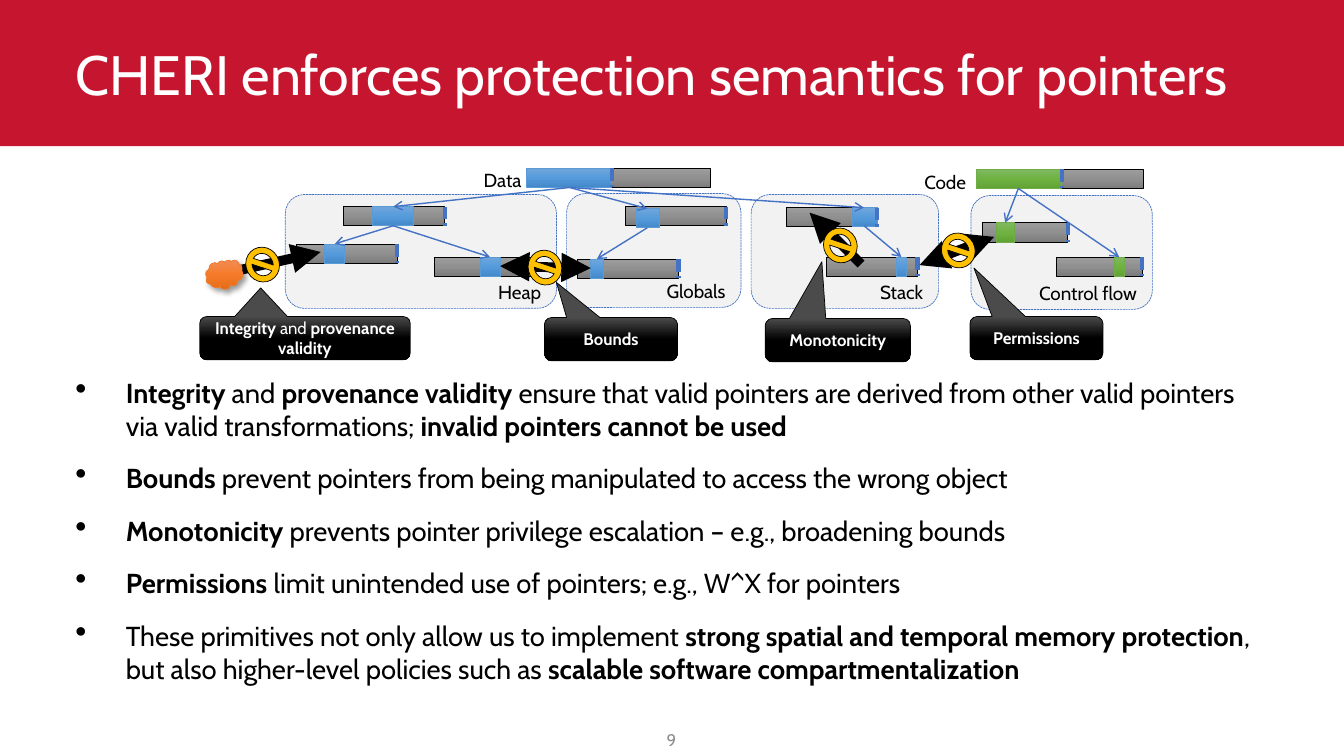
from dataclasses import dataclass
from typing import NamedTuple, Optional

from lxml.etree import SubElement
from pptx import Presentation
from pptx.dml.color import RGBColor
from pptx.enum.dml import MSO_LINE
from pptx.enum.shapes import MSO_CONNECTOR, MSO_SHAPE
from pptx.enum.text import MSO_ANCHOR, PP_ALIGN
from pptx.oxml.ns import qn
from pptx.util import Cm, Pt


@dataclass(frozen=True)
class Theme:
    font: str = "Cabin"
    red: str = "C5152F"
    white: str = "FFFFFF"
    black: str = "000000"
    pale: str = "F2F2F2"
    dim: str = "8C8C8C"
    edge: str = "4472C4"
    amber: str = "FFC000"
    rust: str = "ED7D31"
    gray: tuple = ("9D9D9D", "909090", "7C7C7C")
    blue: tuple = ("71A6DB", "559BDB", "448ACA")
    green: tuple = ("81B861", "6FB242", "62A336")
    flame: tuple = ("F18C57", "F67B28", "E56C19")
    night: tuple = ("4B4B4B", "000000", "000000")
    head: float = 39.6
    body: float = 19.6
    label: float = 13.5
    small: float = 12


T = Theme()
RIM = {T.blue: "5B9BD5", T.green: "70AD47"}


# Places are kept in inches and turned into Cm when drawn
class Panel(NamedTuple):
    name: str
    left: float
    top: float
    width: float


class Bar(NamedTuple):
    left: float
    top: float
    width: float
    slot: float
    span: float
    tint: tuple = T.blue
    mark: Optional[float] = None
    drop: float = 0


class Link(NamedTuple):
    start: tuple
    end: tuple


class Ban(NamedTuple):
    start: tuple
    end: tuple
    spot: tuple
    both: bool = True


class Note(NamedTuple):
    text: str
    left: float
    top: float
    width: float
    tip: tuple


PANELS = [
    Panel("Globals", 5.62, 1.92, 1.73), Panel("Heap", 2.83, 1.93, 2.69),
    Panel("Stack", 7.45, 1.93, 1.86), Panel("Control flow", 9.63, 1.94, 1.8),
]
BARS = [
    # Roots
    Bar(5.39, 1.67, 1.66, 5.22, 0.84, mark=6.07),
    Bar(9.68, 1.68, 1.66, 9.68, 0.85, T.green, mark=10.53),
    # Globals
    Bar(6.2, 2.05, 1, 6.31, 0.23, drop=0.02), Bar(5.73, 2.57, 1, 5.86, 0.13),
    # Heap
    Bar(3.41, 2.05, 1, 3.69, 0.41), Bar(4.31, 2.55, 1, 4.76, 0.2),
    Bar(2.94, 2.42, 1, 3.22, 0.2),
    # Stack
    Bar(7.8, 2.06, 0.9, 8.45, 0.25), Bar(8.2, 2.55, 0.9, 8.89, 0.1),
    # Control flow
    Bar(9.74, 2.21, 0.85, 9.88, 0.18, T.green),
    Bar(10.48, 2.55, 0.85, 11.05, 0.1, T.green),
]
DATA, CODE, HEAP = (5.65, 1.86), (10.1, 1.87), (3.9, 2.24)
LINKS = [
    Link(DATA, (3.9, 2.05)), Link(DATA, (6.42, 2.07)), Link(DATA, (8.57, 2.06)),
    Link((6.42, 2.26), (5.92, 2.57)),
    Link(HEAP, (3.32, 2.42)), Link(HEAP, (4.86, 2.55)),
    Link((8.57, 2.24), (8.94, 2.55)),
    Link(CODE, (9.97, 2.21)), Link(CODE, (11.1, 2.55)),
]
NOTES = [
    Note("*Integrity *and* provenance validity*", 1.98, 3.14, 2.09, (-0.21, -1.16)),
    Note("*Bounds*", 5.4, 3.15, 1.32, (-0.41, -1.31)),
    Note("*Monotonicity*", 7.59, 3.16, 1.44, (-0.11, -1.81)),
    Note("*Permissions*", 9.62, 3.14, 1.32, (-0.47, -1.62)),
]
BANS = [
    Ban((2.33, 2.69), (3.18, 2.5), (2.44, 2.45), False),
    Ban((4.96, 2.64), (5.86, 2.66), (5.24, 2.48)),
    Ban((8.54, 2.62), (8.03, 2.11), (8.17, 2.26), False),
    Ban((9.12, 2.63), (9.86, 2.35), (9.34, 2.31)),
]
# Bold words stand between asterisks
POINTS = [
    "*Integrity* and *provenance validity *ensure that valid pointers are derived from other "
    "valid pointers via valid transformations; *invalid pointers cannot be used*",
    "*Bounds* prevent pointers from being manipulated to access the wrong object",
    "*Monotonicity* prevents pointer privilege escalation – e.g., broadening bounds",
    "*Permissions* limit unintended use of pointers; e.g., W^X for pointers",
    "These primitives not only allow us to implement *strong spatial and temporal memory "
    "protection*, but also higher-level policies such as *scalable software compartmentalization*",
]


def size(inch: float) -> Cm:
    return Cm(inch * 2.54)


def write(shape, *lines: str, points: float, hue: str = T.black, align=PP_ALIGN.LEFT,
          anchor=MSO_ANCHOR.TOP, side: float = 0.1, base: float = 0.05,
          pitch: Optional[float] = None, dots: bool = False) -> None:
    frame = shape.text_frame
    frame.word_wrap = True
    frame.vertical_anchor = anchor
    frame.margin_left = frame.margin_right = size(side)
    frame.margin_top, frame.margin_bottom = size(0.05), size(base)
    for row, line in enumerate(lines):
        para = frame.add_paragraph() if row else frame.paragraphs[0]
        if dots:
            props = para._p.get_or_add_pPr()
            props.set("marL", str(size(0.5)))
            props.set("indent", str(-size(0.5)))
            SubElement(SubElement(props, qn("a:buClr")), qn("a:srgbClr"), val=hue)
            SubElement(props, qn("a:buSzPct"), val="120000")
            SubElement(props, qn("a:buChar"), char="•")
            para.space_before, para.space_after = Pt(10 if row else 0), Pt(4)
        para.alignment = align
        if pitch:
            para.line_spacing = pitch
        for turn, piece in enumerate(line.split("*")):
            if piece:
                run = para.add_run()
                run.text = piece
                font = run.font
                font.name, font.size, font.bold = T.font, Pt(points), turn % 2 == 1
                font.color.rgb = RGBColor.from_string(hue)


def draw_box(slide, kind, left: float, top: float, width: float, height: float,
             fill, rim: Optional[str] = T.black):
    shape = slide.shapes.add_shape(kind, size(left), size(top), size(width), size(height))
    shape.shadow.inherit = False
    if isinstance(fill, tuple):
        shape.fill.gradient()
        shape.fill.gradient_angle = 270
        stops = shape._element.spPr.find(".//" + qn("a:gsLst"))
        stops[:] = []
        for pos, tone in zip((0, 50000, 100000), fill):
            SubElement(SubElement(stops, qn("a:gs"), pos=str(pos)), qn("a:srgbClr"), val=tone)
    else:
        shape.fill.solid()
        shape.fill.fore_color.rgb = RGBColor.from_string(fill)
    if rim:
        shape.line.color.rgb = RGBColor.from_string(rim)
        shape.line.width = Pt(0.5)
    else:
        shape.line.fill.background()
    return shape


def draw_line(slide, start: tuple, end: tuple, hue: str, weight: float,
              head: str = "", tail: str = "", dash: bool = False) -> None:
    line = slide.shapes.add_connector(MSO_CONNECTOR.STRAIGHT, *map(size, start + end))
    line.line.color.rgb = RGBColor.from_string(hue)
    line.line.width = Pt(weight)
    if dash:
        line.line.dash_style = MSO_LINE.SQUARE_DOT
    props = line._element.spPr
    for tag, tip in (("a:headEnd", head), ("a:tailEnd", tail)):
        if tip:
            SubElement(props.find(qn("a:ln")), qn(tag), type=tip)
    SubElement(props, qn("a:effectLst"))


def draw_text(slide, place: tuple, *lines: str, **style) -> None:
    write(slide.shapes.add_textbox(*map(size, place)), *lines, **style)


def draw_panel(slide, panel: Panel) -> None:
    shape = draw_box(slide, MSO_SHAPE.ROUNDED_RECTANGLE, *panel[1:], 1.13, T.pale, T.edge)
    shape.line.dash_style = MSO_LINE.SQUARE_DOT
    write(shape, panel.name, points=T.label, align=PP_ALIGN.RIGHT,
          anchor=MSO_ANCHOR.BOTTOM, base=0)


def draw_bar(slide, bar: Bar) -> None:
    draw_box(slide, MSO_SHAPE.RECTANGLE, bar.left, bar.top, bar.width, 0.19, T.gray)
    draw_box(slide, MSO_SHAPE.RECTANGLE, bar.slot, bar.top + bar.drop, bar.span, 0.19,
             bar.tint, RIM[bar.tint])
    mark = bar.mark or bar.left + bar.width
    draw_line(slide, (mark, bar.top), (mark, bar.top + 0.19), T.edge, 3, dash=True)


def draw_note(slide, note: Note) -> None:
    shape = draw_box(slide, MSO_SHAPE.ROUNDED_RECTANGULAR_CALLOUT,
                     note.left, note.top, note.width, 0.43, T.night)
    shape.adjustments[0], shape.adjustments[1] = note.tip
    write(shape, note.text, points=T.small, hue=T.white, align=PP_ALIGN.CENTER,
          anchor=MSO_ANCHOR.MIDDLE)


def draw_ban(slide, ban: Ban) -> None:
    draw_line(slide, ban.start, ban.end, T.black, 7,
              head="triangle" if ban.both else "", tail="triangle")
    draw_box(slide, MSO_SHAPE.NO_SYMBOL, *ban.spot, 0.33, 0.35, T.amber).rotation = 331.3


def draw_cloud(slide) -> None:
    cloud = draw_box(slide, MSO_SHAPE.CLOUD, 2.04, 2.58, 0.37, 0.29, T.flame, T.rust)
    glow = SubElement(cloud._element.spPr.find(qn("a:effectLst")), qn("a:outerShdw"),
                      blurRad=str(Pt(4)), dist=str(Pt(3)), dir="2700000")
    tone = SubElement(glow, qn("a:srgbClr"), val=T.black)
    SubElement(tone, qn("a:alpha"), val="40000")


def main() -> None:
    deck = Presentation()
    deck.slide_width, deck.slide_height = size(13.33), size(7.5)
    slide = deck.slides.add_slide(deck.slide_layouts[6])

    # Title band, points and page number
    draw_box(slide, MSO_SHAPE.RECTANGLE, 0, 0, 13.33, 1.45, T.red, None)
    draw_text(slide, (0.65, 0.36, 12, 0.82), "CHERI enforces protection semantics for pointers",
              points=T.head, hue=T.white, anchor=MSO_ANCHOR.MIDDLE, pitch=0.9)
    draw_text(slide, (0.65, 3.68, 12, 3.28), *POINTS, points=T.body, dots=True)
    draw_text(slide, (5.97, 7.18, 1.38, 0.32), "9", points=T.small, hue=T.dim,
              align=PP_ALIGN.CENTER, anchor=MSO_ANCHOR.MIDDLE)

    # Memory map
    for panel in PANELS:
        draw_panel(slide, panel)
    for bar in BARS:
        draw_bar(slide, bar)
    for name, left, top in (("Data", 4.67, 1.62), ("Code", 9.06, 1.64)):
        draw_text(slide, (left, top, 0.63, 0.33), name, points=T.label,
                  align=PP_ALIGN.CENTER, side=0)
    for link in LINKS:
        draw_line(slide, link.start, link.end, T.edge, 1, tail="arrow")

    # Blocked moves and their notes
    for note in NOTES:
        draw_note(slide, note)
    for ban in BANS:
        draw_ban(slide, ban)
    draw_cloud(slide)

    deck.save("out.pptx")


if __name__ == "__main__":
    main()
